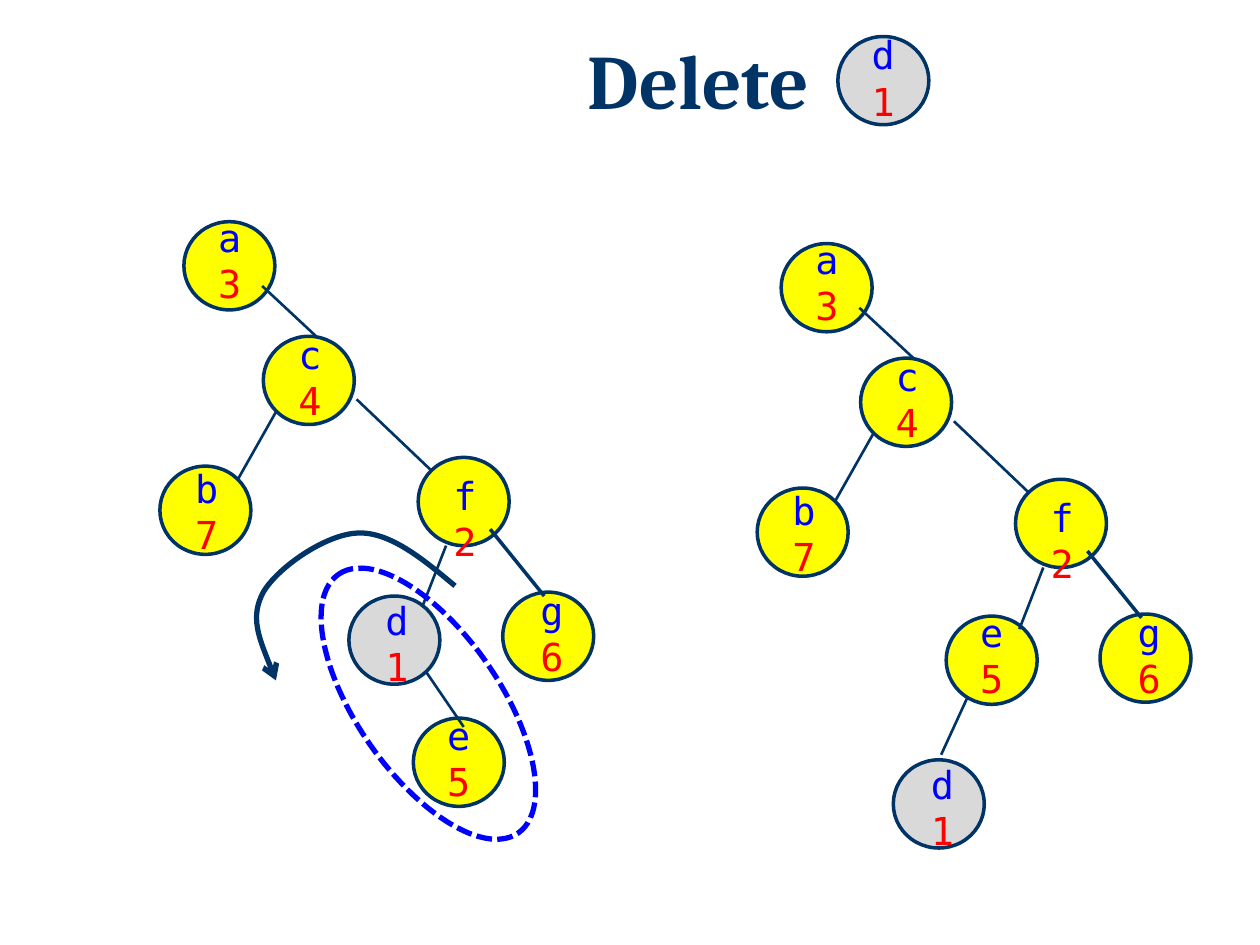
import pptx
import pptx.util
import pptx.dml.color
import pptx.enum.dml
import pptx.enum.shapes
import pptx.enum.text
import pptx.oxml.ns
import pptx.oxml.xmlchemy

Pt = pptx.util.Pt
RGBColor = pptx.dml.color.RGBColor
OxmlElement = pptx.oxml.xmlchemy.OxmlElement
qn = pptx.oxml.ns.qn
OVAL = pptx.enum.shapes.MSO_SHAPE.OVAL
NAVY = RGBColor(0x00, 0x33, 0x66)
BLUE = RGBColor(0x00, 0x00, 0xFF)
RED = RGBColor(0xFF, 0x00, 0x00)
YELLOW = RGBColor(0xFF, 0xFF, 0x00)
GRAY = RGBColor(0xD9, 0xD9, 0xD9)

NODE_W, NODE_H = 52, 50.4
LABEL_W, LABEL_H = 28, 60.5
PRIORITY = {"a": 3, "b": 7, "c": 4, "d": 1, "e": 5, "f": 2, "g": 6}
TREE_SHIFTS = [(0, 0), (341.3, 12.5)]

# Key, left and top of the circle, offset of the label from the circle
SHARED_NODES = [
    ("a", 105.1, 126.7, 12.5, -7.9),
    ("b", 91.4, 266.4, 13, -4.3),
    ("c", 150.5, 192.2, 13, -6.4),
    ("f", 239, 261.4, 13, -5.8),
    ("g", 287.3, 338.4, 14.4, -6.5),
]
OTHER_NODES = [
    ("d", 478.8, 20.9, 12.2, -6.5),
    ("d", 199.4, 340.6, 13.7, -2.9),
    ("e", 236.2, 410.4, 12.2, -7.2),
    ("d", 510.5, 434.2, 14.4, -2.9),
    ("e", 540.7, 352.1, 12.3, -7.9),
]
# Start x, y, end x, y, line width
SHARED_EDGES = [
    (149.8, 163.4, 180.7, 192.2, 1.5),
    (136.1, 273.6, 157.7, 235.4, 1.5),
    (203.8, 228.2, 246.2, 268.6, 1.5),
    (254.9, 311.8, 241.2, 347, 1.5),
    (280.1, 302.4, 311, 340.6, 2),
]
OTHER_EDGES = [
    (243.4, 383.8, 265, 415.4, 1.5),
    (553, 398.2, 537.8, 431.3, 1.5),
]


def add_run(p, text, size=22, font="DejaVu Sans Mono", color=BLUE, bold=False):
    r = p.add_run()
    r.text = text
    r.font.size = Pt(size)
    r.font.name = font
    r.font.color.rgb = color
    r.font.bold = bold


prs = pptx.Presentation()
prs.slide_width, prs.slide_height = Pt(720), Pt(540)
s = prs.slides.add_slide(prs.slide_layouts[5])

title = s.shapes.title
title.left, title.top, title.width, title.height = Pt(115.9), Pt(20.9), Pt(576), Pt(66.2)
tf = title.text_frame
tf.vertical_anchor = pptx.enum.text.MSO_ANCHOR.TOP
tf.auto_size = pptx.enum.text.MSO_AUTO_SIZE.NONE
p = tf.paragraphs[0]
p.alignment = pptx.enum.text.PP_ALIGN.CENTER
p.line_spacing = 0.9
add_run(p, "Delete ", size=44, font="Cambria", color=NAVY, bold=True)

# The second tree repeats the shared part of the first one, shifted
nodes = list(OTHER_NODES)
edges = list(OTHER_EDGES)
for dx, dy in TREE_SHIFTS:
    nodes += [(key, x + dx, y + dy, tx, ty) for key, x, y, tx, ty in SHARED_NODES]
    edges += [(x1 + dx, y1 + dy, x2 + dx, y2 + dy, w) for x1, y1, x2, y2, w in SHARED_EDGES]

for key, x, y, tx, ty in nodes:
    sp = s.shapes.add_shape(OVAL, Pt(x), Pt(y), Pt(NODE_W), Pt(NODE_H))
    sp.shadow.inherit = False
    sp.fill.solid()
    sp.fill.fore_color.rgb = GRAY if key == "d" else YELLOW
    sp.line.color.rgb = NAVY
    sp.line.width = Pt(2)

    label = s.shapes.add_textbox(Pt(x + tx), Pt(y + ty), Pt(LABEL_W), Pt(LABEL_H))
    tf = label.text_frame
    tf.word_wrap = True
    if key == "f":
        tf.margin_top = Pt(14)
    add_run(tf.paragraphs[0], key)
    add_run(tf.add_paragraph(), str(PRIORITY[key]), color=RED)

for x1, y1, x2, y2, width in edges:
    edge = s.shapes.add_connector(
        pptx.enum.shapes.MSO_CONNECTOR.STRAIGHT, Pt(x1), Pt(y1), Pt(x2), Pt(y2))
    edge.line.color.rgb = NAVY
    edge.line.width = Pt(width)
    edge._element.spPr.append(OxmlElement("a:effectLst"))

# Dashed outline around the subtree that is rotated
sp = s.shapes.add_shape(OVAL, Pt(154.8), Pt(361.4), Pt(180), Pt(81.4))
sp.rotation = 55.2
sp.shadow.inherit = False
sp.fill.background()
sp.line.color.rgb = BLUE
sp.line.width = Pt(3)
sp.line.dash_style = pptx.enum.dml.MSO_LINE.SQUARE_DOT

# Rotation arrow: a start point, then three points for each Bezier curve
curve = [(260, 334.8), (241.2, 319), (222.5, 303.8), (204.5, 304.6),
         (185.8, 305.3), (158.4, 324.7), (150.5, 338.4),
         (142.6, 352.8), (150.5, 370.8), (157.7, 388.8)]
builder = s.shapes.build_freeform(Pt(curve[0][0]), Pt(curve[0][1]))
builder.add_line_segments([(Pt(x), Pt(y)) for x, y in curve[1:]], close=False)
arrow = builder.convert_to_shape()
arrow.shadow.inherit = False
arrow.fill.background()
arrow.line.color.rgb = NAVY
arrow.line.width = Pt(3)
segments = list(arrow._element.iter(qn("a:lnTo")))
for i in range(0, len(segments), 3):
    bezier = OxmlElement("a:cubicBezTo")
    segments[i].addprevious(bezier)
    for segment in segments[i:i + 3]:
        bezier.append(segment[0])
        segment.getparent().remove(segment)
tail = OxmlElement("a:tailEnd")
tail.set("type", "arrow")
arrow.line._get_or_add_ln().append(tail)

prs.save("out.pptx")
